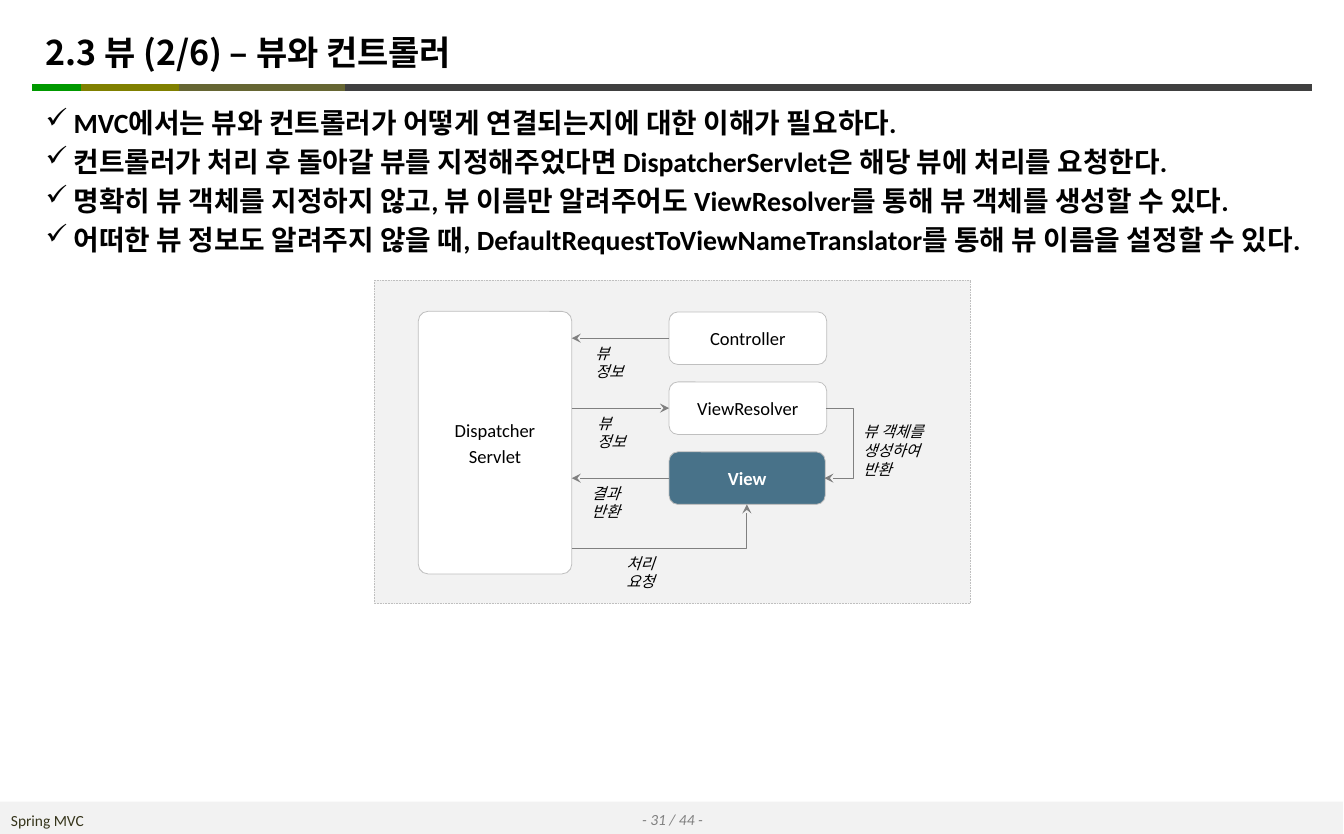
from dataclasses import dataclass

from lxml import etree
from pptx import Presentation
from pptx.dml.color import RGBColor
from pptx.enum.dml import MSO_LINE
from pptx.enum.shapes import MSO_CONNECTOR, MSO_SHAPE
from pptx.enum.text import MSO_ANCHOR, PP_ALIGN
from pptx.oxml import parse_xml
from pptx.oxml.ns import nsdecls, qn
from pptx.util import Pt

LEFT, CENTER = PP_ALIGN.LEFT, PP_ALIGN.CENTER
TOP, MIDDLE = MSO_ANCHOR.TOP, MSO_ANCHOR.MIDDLE
STRAIGHT, ELBOW = MSO_CONNECTOR.STRAIGHT, MSO_CONNECTOR.ELBOW
RECTANGLE, ROUNDED = MSO_SHAPE.RECTANGLE, MSO_SHAPE.ROUNDED_RECTANGLE


@dataclass(frozen=True)
class Theme:
    latin: str = "Calibri"
    korean: str = "Noto Sans CJK KR"
    black: str = "000000"
    white: str = "FFFFFF"
    panel: str = "F2F2F2"
    border: str = "BFBFBF"
    gray: str = "808080"
    accent: str = "487289"
    footer: str = "36351B"
    rule_dark: str = "404040"
    rule_green: str = "009900"
    rule_olive: str = "808000"
    rule_moss: str = "666633"
    title_size: float = 22
    body_size: float = 18
    box_size: float = 12
    small_size: float = 10


theme = Theme()
deck = Presentation()
deck.slide_width, deck.slide_height = Pt(869.76), Pt(540)
page = deck.slides.add_slide(deck.slide_layouts[6])


def write(box, text, size, color=theme.black, font=theme.latin, bold=False,
          italic=False, align=LEFT, anchor=TOP, wrap=True, before=0,
          inset=(7.2, 3.6), bullet=None):
    """Fill a shape with one paragraph per line of text."""
    frame = box.text_frame
    frame.word_wrap, frame.vertical_anchor = wrap, anchor
    frame.margin_left = frame.margin_right = Pt(inset[0])
    frame.margin_top = frame.margin_bottom = Pt(inset[1])
    for index, line in enumerate(text.split("\n")):
        para = frame.add_paragraph() if index else frame.paragraphs[0]
        para.alignment, para.space_before = align, Pt(before)
        span = para.add_run()
        span.text = line
        span.font.name, span.font.size = font, Pt(size)
        span.font.bold, span.font.italic = bold, italic
        span.font.color.rgb = RGBColor.from_string(color)
        properties = span.font._element
        properties.find(qn("a:latin")).addnext(
            parse_xml(f'<a:ea {nsdecls("a")} typeface="{theme.korean}"/>'))
        if bullet:
            indent = para._p.get_or_add_pPr()
            indent.set("marL", str(Pt(18)))
            indent.set("indent", str(Pt(-18)))
            etree.SubElement(indent, qn("a:buChar")).set("char", bullet)


def connect(start, end, color, width, kind=STRAIGHT, arrow=False):
    """Draw a line without shadow, with an arrowhead at its end if asked."""
    line = page.shapes.add_connector(kind, *map(Pt, start + end))
    line.line.color.rgb = RGBColor.from_string(color)
    line.line.width = Pt(width)
    if arrow:
        etree.SubElement(line.line._get_or_add_ln(), qn("a:tailEnd")).set("type", "stealth")
    etree.SubElement(line._element.spPr, qn("a:effectLst"))
    return line


# Footer band, diagram panel and boxes: rows share one pitch
row_y = [219 + 45.3 * row for row in range(4)]
servlet_right, column_left, column_right, box_height = 370, 433, 534.5, 34
shapes = [
    (RECTANGLE, 0, 519.1, 869.04, 20.9, theme.panel, None, ""),
    (RECTANGLE, 242.2, 181.4, 385.9, 209.5, theme.panel, theme.border, ""),
    (ROUNDED, 270.7, 201.6, 99.3, 170, theme.white, theme.border, "Dispatcher\nServlet"),
]
for name, y, fill in zip(("Controller", "ViewResolver", "View"), row_y,
                         (theme.white, theme.white, theme.accent)):
    width = 101 if name == "View" else 102
    shapes.append((ROUNDED, column_left, y - box_height / 2, width, box_height,
                   fill, theme.border, name))

for kind, left, top, width, height, fill, border, text in shapes:
    box = page.shapes.add_shape(kind, Pt(left), Pt(top), Pt(width), Pt(height))
    box.shadow.inherit = False
    box.fill.solid()
    box.fill.fore_color.rgb = RGBColor.from_string(fill)
    if border:
        box.line.color.rgb = RGBColor.from_string(border)
        box.line.width = Pt(0.5)
    else:
        box.line.fill.background()
    if border and kind == RECTANGLE:
        box.line.dash_style = MSO_LINE.ROUND_DOT
    if "Servlet" in text:
        box.adjustments[0] = 0.063
    if text:
        is_view = text == "View"
        write(box, text, theme.box_size, wrap=False, align=CENTER, anchor=MIDDLE,
              color=theme.white if is_view else theme.black, bold=is_view,
              before=2.4, inset=(7.9, 3.6))

# Coloured rule under the title
for start, end, color in (
    (214.6, 848.9, theme.rule_dark),
    (20.9, 78.5, theme.rule_green),
    (52.6, 119.5, theme.rule_olive),
    (115.9, 223.2, theme.rule_moss),
):
    connect((start, 56.7), (end, 56.7), color, 5)

# Straight arrows between the servlet and the column
for row, leftward in enumerate((True, False, True)):
    ends = [(servlet_right, row_y[row]), (column_left, row_y[row])]
    if leftward:
        ends.reverse()
    connect(*ends, theme.gray, 0.5, arrow=True)

# Bent arrows: resolver back to view, servlet up to view
back = connect((column_right, row_y[1]), (column_right - 1, row_y[2]),
               theme.gray, 0.5, ELBOW, arrow=True)
guide = etree.SubElement(back._element.spPr.prstGeom.get_or_add_avLst(), qn("a:gd"))
guide.set("name", "adj1")
guide.set("fmla", "val -1800000")
request = connect((servlet_right, row_y[3]), (483.3, row_y[2] + box_height / 2),
                  theme.gray, 0.5, ELBOW, arrow=True)
request._element.spPr.prstGeom.set("prst", "bentConnector2")

# Title, bullets, arrow labels and footer
label = dict(size=theme.small_size, italic=True)
bullets = "\n".join((
    "MVC에서는 뷰와 컨트롤러가 어떻게 연결되는지에 대한 이해가 필요하다.",
    "컨트롤러가 처리 후 돌아갈 뷰를 지정해주었다면 DispatcherServlet은 해당 뷰에 처리를 요청한다.",
    "명확히 뷰 객체를 지정하지 않고, 뷰 이름만 알려주어도 ViewResolver를 통해 뷰 객체를 생성할 수 있다.",
    "어떠한 뷰 정보도 알려주지 않을 때, DefaultRequestToViewNameTranslator를 통해 뷰 이름을 설정할 수 있다.",
))
for left, top, width, height, text, style in (
    (26.6, 10.8, 720, 45.4, "2.3 뷰 (2/6) – 뷰와 컨트롤러",
     dict(size=theme.title_size, font=theme.korean, bold=True, anchor=MIDDLE, inset=(3, 3))),
    (26.6, 65.5, 816.5, 105.8, bullets,
     dict(size=theme.body_size, bold=True, before=3.6, inset=(3, 3), bullet="✓")),
    (378, row_y[0], 41.8, 19.4, "뷰 정보", label),
    (379.4, row_y[1], 41.8, 19.4, "뷰 정보", label),
    (375.8, row_y[2], 49.7, 19.4, "결과 반환", label),
    (398.2, row_y[3], 49.7, 19.4, "처리 요청", label),
    (551.5, 270, 65.5, 31.7, "뷰 객체를\n생성하여 반환", label),
    (364.3, 521.3, 141.8, 18.7, "- 31 / 44 -",
     dict(label, color=theme.gray, align=CENTER, anchor=MIDDLE)),
    (0, 522, 174.2, 18.7, "Spring MVC",
     dict(size=theme.small_size, color=theme.footer, anchor=MIDDLE, before=5)),
):
    box = page.shapes.add_textbox(Pt(left), Pt(top), Pt(width), Pt(height))
    write(box, text, **style)

deck.save("out.pptx")
